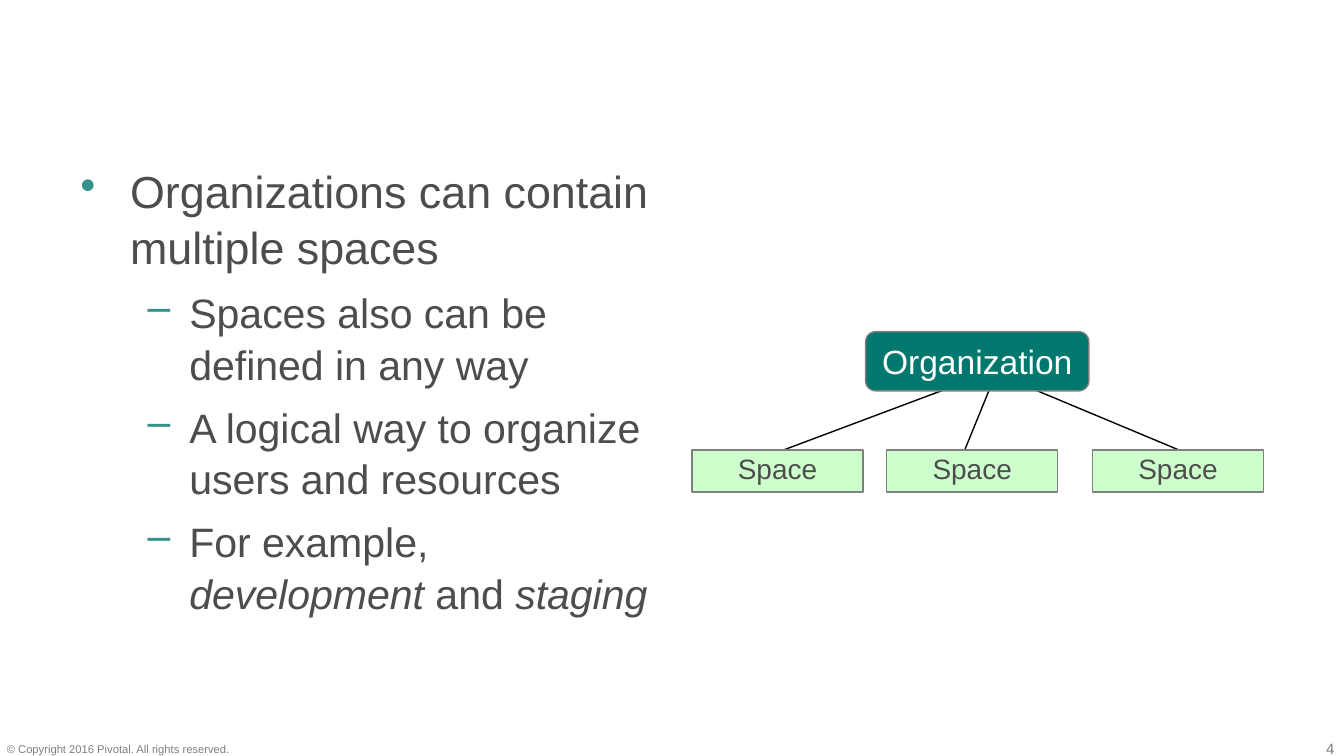
from lxml import etree
from pptx import Presentation
from pptx.dml.color import RGBColor
from pptx.enum.shapes import MSO_CONNECTOR as Connector, MSO_SHAPE as Shape
from pptx.enum.text import MSO_ANCHOR as Anchor, PP_ALIGN as Align
from pptx.oxml.ns import qn
from pptx.util import Cm, Pt

WHITE = RGBColor(0xFF, 0xFF, 0xFF)
BLACK = RGBColor(0, 0, 0)
GRAY = RGBColor(0x7F, 0x7F, 0x7F)
OUTLINE = RGBColor(0x80, 0x80, 0x80)
TEXT = RGBColor(0x4D, 0x4D, 0x4D)
TEAL = RGBColor(0x00, 0x78, 0x6E)
BULLET = RGBColor(0x33, 0x92, 0x8A)
GREEN = RGBColor(0xCC, 0xFF, 0xCC)

POINTS = [
    (0, [("Organizations can contain multiple spaces", False)]),
    (1, [("Spaces also can be defined in any way", False)]),
    (1, [("A logical way to organize users and resources", False)]),
    (1, [("For example, ", False), ("development", True),
         (" and ", False), ("staging", True)]),
]
LEVELS = [("•", 24, 0.94, -0.94), ("–", 22, 2.06, -0.79)]


def style(font, size, color):
    font.name = "Arial"
    font.size = Pt(size)
    font.color.rgb = color


def set_bullet(paragraph, character, margin, indent):
    properties = paragraph._p.get_or_add_pPr()
    properties.set("marL", str(Cm(margin)))
    properties.set("indent", str(Cm(indent)))
    color = etree.SubElement(properties, qn("a:buClr"))
    etree.SubElement(color, qn("a:srgbClr"), val=str(BULLET))
    etree.SubElement(properties, qn("a:buChar"), char=character)


def add_bullets(slide, left, top, width, height):
    text_frame = slide.shapes.add_textbox(
        Cm(left), Cm(top), Cm(width), Cm(height)).text_frame
    text_frame.word_wrap = True
    for index, (level, pieces) in enumerate(POINTS):
        paragraph = text_frame.add_paragraph() if index else text_frame.paragraphs[0]
        character, size, margin, indent = LEVELS[level]
        set_bullet(paragraph, character, margin, indent)
        paragraph.level = level
        paragraph.line_spacing = 1.05
        paragraph.space_before = Pt(6 if index else 0)
        for words, italic in pieces:
            run = paragraph.add_run()
            run.text = words
            style(run.font, size, TEXT)
            run.font.italic = italic


def add_box(slide, box, words, fill, size, color, rounding):
    shape = slide.shapes.add_shape(Shape.ROUNDED_RECTANGLE, *map(Cm, box))
    shape.adjustments[0] = rounding
    shape.shadow.inherit = False
    shape.fill.solid()
    shape.fill.fore_color.rgb = fill
    shape.line.color.rgb = OUTLINE
    shape.line.width = Pt(0.75)
    text_frame = shape.text_frame
    text_frame.text = words
    text_frame.vertical_anchor = Anchor.MIDDLE
    paragraph = text_frame.paragraphs[0]
    paragraph.alignment = Align.CENTER
    style(paragraph.runs[0].font, size, color)
    return shape


def add_branch(slide, start, end):
    line = slide.shapes.add_connector(Connector.STRAIGHT, *map(Cm, start + end))
    line.line.color.rgb = BLACK
    line.line.width = Pt(0.75)
    etree.SubElement(line._element.spPr, qn("a:effectLst"))


def add_hierarchy(slide, left, top):
    for start, end in ((5.05, 1.45), (5.66, 5.11), (6.22, 9.45)):
        add_branch(slide, (left + start, top + 0.99), (left + end, top + 2.34))
    for offset in (0, 3.68, 7.57):
        space = add_box(slide, (left + offset, top + 2.24, 3.23, 0.79),
                        "Space", GREEN, 15, TEXT, 0)
        space.text_frame.paragraphs[0].line_spacing = 0.8
    organization = add_box(slide, (left + 3.28, top, 4.22, 1.12),
                           "Organization", TEAL, 18, WHITE, 0.17)
    organization.text_frame.word_wrap = False


def add_footer_text(slide, box, words, size, alignment):
    text_frame = slide.shapes.add_textbox(*map(Cm, box)).text_frame
    text_frame.margin_left = text_frame.margin_right = 0
    text_frame.margin_top = text_frame.margin_bottom = 0
    text_frame.word_wrap = True
    text_frame.text = words
    paragraph = text_frame.paragraphs[0]
    paragraph.alignment = alignment
    style(paragraph.runs[0].font, size, GRAY)


def main():
    presentation = Presentation()
    presentation.slide_width = Cm(25.4)
    presentation.slide_height = Cm(14.29)
    slide = presentation.slides.add_slide(presentation.slide_layouts[6])
    add_footer_text(slide, (23.75, 13.99, 1.47, 0.33), "4", 8, Align.RIGHT)
    add_footer_text(slide, (0.13, 14.04, 6.32, 0.25),
                    "© Copyright 2016 Pivotal. All rights reserved.", 6, Align.LEFT)
    add_bullets(slide, 1.27, 2.92, 11.23, 10.34)
    add_hierarchy(slide, 13.08, 6.27)
    presentation.save("out.pptx")


if __name__ == "__main__":
    main()
